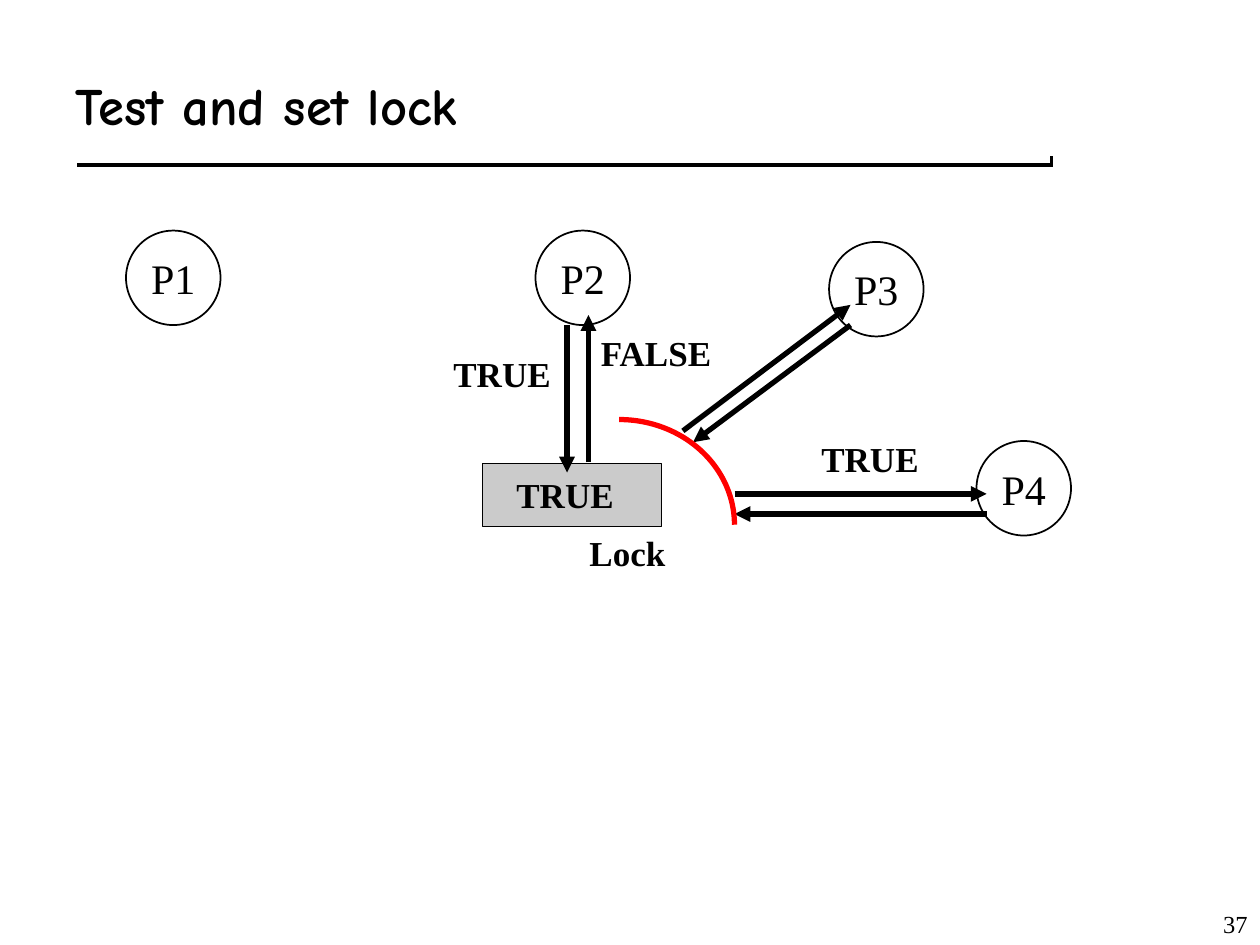
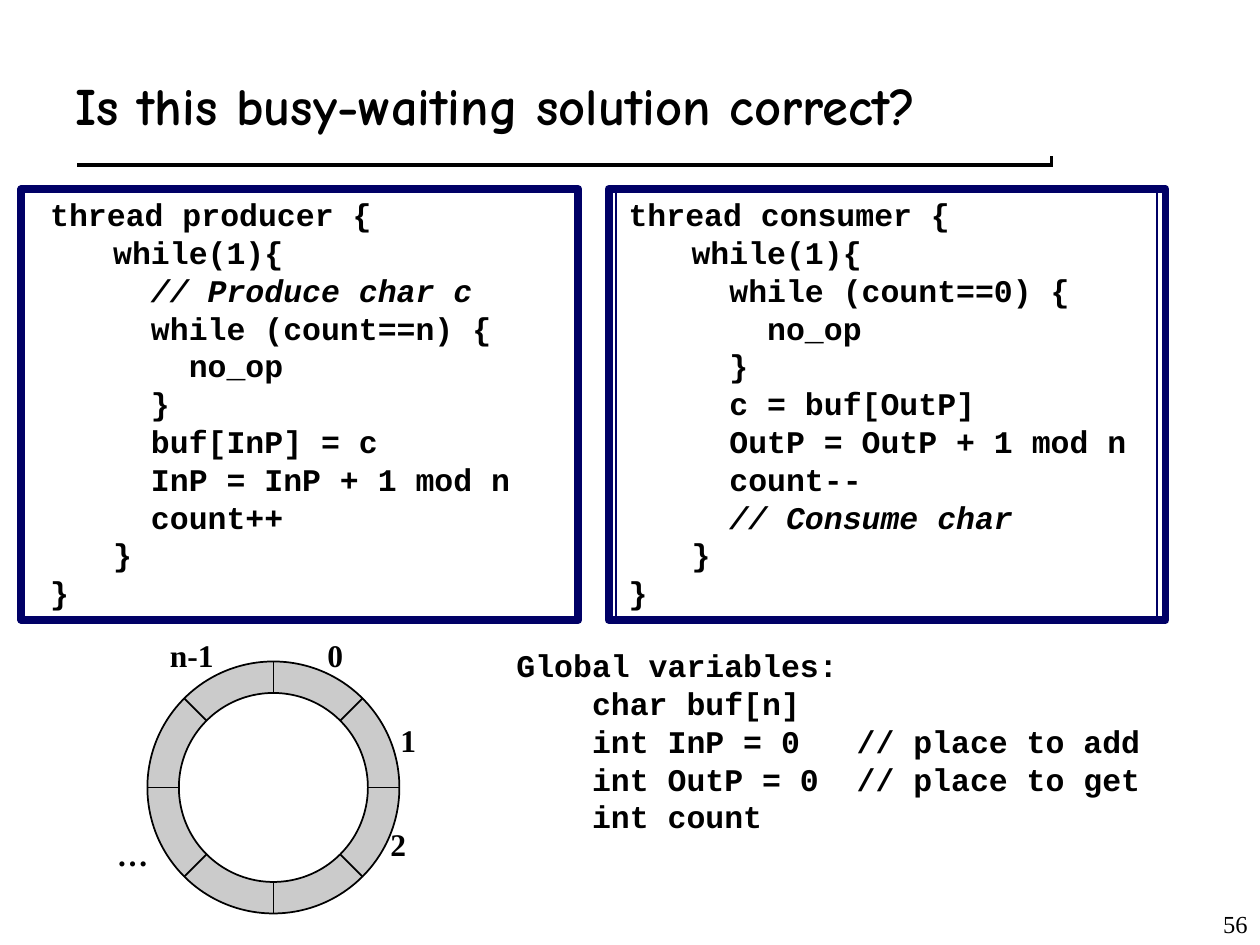
import dataclasses
import math

import pptx
import pptx.dml.color
import pptx.enum.shapes
import pptx.enum.text
import pptx.oxml.ns
import pptx.util
from lxml import etree

Inches = pptx.util.Inches
Shape = pptx.enum.shapes.MSO_SHAPE
Align = pptx.enum.text.PP_ALIGN
Anchor = pptx.enum.text.MSO_ANCHOR


@dataclasses.dataclass(frozen=True)
class Theme:
    black: str = "000000"
    white: str = "FFFFFF"
    gray: str = "CBCBCB"
    navy: str = "000066"
    red: str = "FF0000"
    title_font: str = "Comic Neue"
    code_font: str = "Courier New"
    body_font: str = "Times New Roman"
    title_size: int = 30
    process_size: int = 24
    label_size: int = 20
    code_size: int = 18
    number_size: int = 14
    thin: float = 1
    arrow: float = 3
    frame: float = 4.5
    rule: float = 6


THEME = Theme()

# Lock diagram: all places are in inches
PROCESS_SIZE = 0.75
PROCESSES = [("P1", 1, 1.83), ("P2", 4.25, 1.83), ("P3", 6.58, 1.92), ("P4", 7.75, 3.5)]
LOCK_BOX = (3.83, 3.68, 1.42, 0.5)
BARRIER_BOX = (4, 3.33, 1.83, 1.67)
LOCK_LABELS = [
    ("TRUE", 4, 3.71, 0.97),
    ("Lock", 4.58, 4.17, 0.8),
    ("TRUE", 3.5, 2.75, 0.97),
    ("FALSE", 4.67, 2.58, 1.09),
    ("TRUE", 6.42, 3.42, 0.97),
]
ARROWS = [
    ((4.5, 2.58), (4.5, 3.75)),
    ((4.67, 3.67), (4.67, 2.5)),
    ((6.75, 2.58), (5.5, 3.51)),
    ((5.42, 3.42), (6.75, 2.42)),
    ((5.83, 3.92), (7.83, 3.92)),
    ((7.83, 4.08), (5.83, 4.08)),
]

# Producer and consumer
PRODUCER = [
    "thread producer {",
    "while(1){",
    "  // Produce char c",
    "  while (count==n) {",
    "    no_op",
    "  }",
    "  buf[InP] = c",
    "  InP = InP + 1 mod n",
    "  count++",
    "}",
    "}",
]
CONSUMER = [
    "thread consumer {",
    "while(1){",
    "  while (count==0) {",
    "    no_op",
    "  }",
    "  c = buf[OutP]",
    "  OutP = OutP + 1 mod n",
    "  count--",
    "  // Consume char",
    "}",
    "}",
]
GLOBALS = [
    "Global variables:",
    "    char buf[n]",
    "    int InP = 0   // place to add",
    "    int OutP = 0  // place to get",
    "    int count",
]
# code, left of the frame, place of the text, outline of the text
THREADS = [
    (CONSUMER, 4.83, (4.89, 1.5, 4.29, 3.4), THEME.navy),
    (PRODUCER, 0.17, (0.3, 1.5, 4.03, 3.4), None),
]
RING_CENTER = (2.17, 6.25)
RING_OUTER, RING_INNER = 1, 0.75
RING_SLOTS = 8
RING_LABELS = [("0", 2.5, 5), ("1", 3.08, 5.67), ("2", 3, 6.5), ("n-1", 1.25, 5), ("…", 0.83, 6.58)]


def rgb(color):
    return pptx.dml.color.RGBColor.from_string(color)


def add_shape(page, kind, place, fill=None, line=THEME.black, width=THEME.thin):
    shape = page.shapes.add_shape(kind, *map(Inches, place))
    shape.shadow.inherit = False
    if fill:
        shape.fill.solid()
        shape.fill.fore_color.rgb = rgb(fill)
    else:
        shape.fill.background()
    if line:
        shape.line.color.rgb = rgb(line)
        shape.line.width = pptx.util.Pt(width)
    else:
        shape.line.fill.background()
    return shape


def add_line(page, start, end, color=THEME.black, width=THEME.thin, arrow=False):
    line = page.shapes.add_connector(
        pptx.enum.shapes.MSO_CONNECTOR.STRAIGHT, *map(Inches, (*start, *end)))
    line.line.color.rgb = rgb(color)
    line.line.width = pptx.util.Pt(width)
    if arrow:
        tip = etree.SubElement(line.line._get_or_add_ln(), pptx.oxml.ns.qn("a:tailEnd"))
        tip.set("type", "triangle")
    etree.SubElement(line._element.spPr, pptx.oxml.ns.qn("a:effectLst"))


def write(box, text, font=THEME.body_font, size=THEME.label_size, bold=False,
          align=Align.LEFT, anchor=Anchor.TOP, wrap=True, threaded=False):
    """Fill a box with lines; threaded code indents its body and slants its comments."""
    frame = box.text_frame
    frame.word_wrap = wrap
    frame.vertical_anchor = anchor
    lines = text.split("\n")
    for index, words in enumerate(lines):
        para = frame.paragraphs[0] if index == 0 else frame.add_paragraph()
        para.alignment = align
        if threaded:
            margin = 1 if 0 < index < len(lines) - 1 else 0.5
            properties = para._p.get_or_add_pPr()
            properties.set("marL", str(Inches(margin)))
            properties.set("indent", str(Inches(-0.5)))
        span = para.add_run()
        span.text = words
        span.font.name = font
        span.font.size = pptx.util.Pt(size)
        span.font.bold = bold
        span.font.italic = threaded and words.lstrip().startswith("//")
        span.font.color.rgb = rgb(THEME.black)


def add_text(page, text, place, **style):
    write(page.shapes.add_textbox(*map(Inches, place)), text, **style)


def add_page(deck, title, number):
    page = deck.slides.add_slide(deck.slide_layouts[6])
    # The white rule hides all but the lower and right edges of the black one
    for left, top, color in [(0.61, 1.28, THEME.black), (0.58, 1.25, THEME.white)]:
        add_line(page, (left, top), (left + 7.75, top), color, THEME.rule)
    add_text(page, title, (0.5, 0.33, 8.58, 1), font=THEME.title_font,
             size=THEME.title_size, bold=True, anchor=Anchor.MIDDLE)
    add_text(page, str(number), (7.92, 7, 2.08, 0.5), size=THEME.number_size,
             align=Align.RIGHT, anchor=Anchor.BOTTOM)
    return page


def draw_lock(page):
    add_shape(page, Shape.RECTANGLE, LOCK_BOX, THEME.gray)
    for name, left, top in PROCESSES:
        circle = add_shape(page, Shape.OVAL, (left, top, PROCESS_SIZE, PROCESS_SIZE))
        write(circle, name, size=THEME.process_size, align=Align.CENTER,
              anchor=Anchor.MIDDLE, wrap=False)
    for start, end in ARROWS:
        add_line(page, start, end, width=THEME.arrow, arrow=True)
    add_shape(page, Shape.ARC, BARRIER_BOX, line=THEME.red, width=THEME.arrow)
    for label, left, top, width in LOCK_LABELS:
        add_text(page, label, (left, top, width, 0.44), bold=True, wrap=False)


def draw_threads(page):
    style = {"font": THEME.code_font, "size": THEME.code_size, "bold": True}
    for code, left, place, outline in THREADS:
        add_shape(page, Shape.RECTANGLE, (left, 1.5, 4.42, 3.42),
                  THEME.white, THEME.navy, THEME.frame)
        box = add_shape(page, Shape.RECTANGLE, place, line=outline)
        write(box, "\n".join(code), threaded=True, **style)
    add_text(page, "\n".join(GLOBALS), (4, 5.08, 5.25, 1.6), **style)


def draw_ring(page):
    x, y = RING_CENTER

    def add_disc(radius, fill):
        add_shape(page, Shape.OVAL, (x - radius, y - radius, 2 * radius, 2 * radius), fill)

    add_disc(RING_OUTER, THEME.gray)
    for slot in range(RING_SLOTS // 2):
        angle = 2 * math.pi * slot / RING_SLOTS
        dx, dy = RING_OUTER * math.cos(angle), RING_OUTER * math.sin(angle)
        add_line(page, (x - dx, y - dy), (x + dx, y + dy))
    add_disc(RING_INNER, THEME.white)
    for label, left, top in RING_LABELS:
        add_text(page, label, (left, top, 0.67, 0.4), size=THEME.code_size, bold=True)


def main():
    deck = pptx.Presentation()
    deck.slide_width, deck.slide_height = Inches(10), Inches(7.5)
    draw_lock(add_page(deck, "Test and set lock", 37))
    page = add_page(deck, "Is this busy-waiting solution correct?", 56)
    draw_threads(page)
    draw_ring(page)
    deck.save("out.pptx")


if __name__ == "__main__":
    main()
